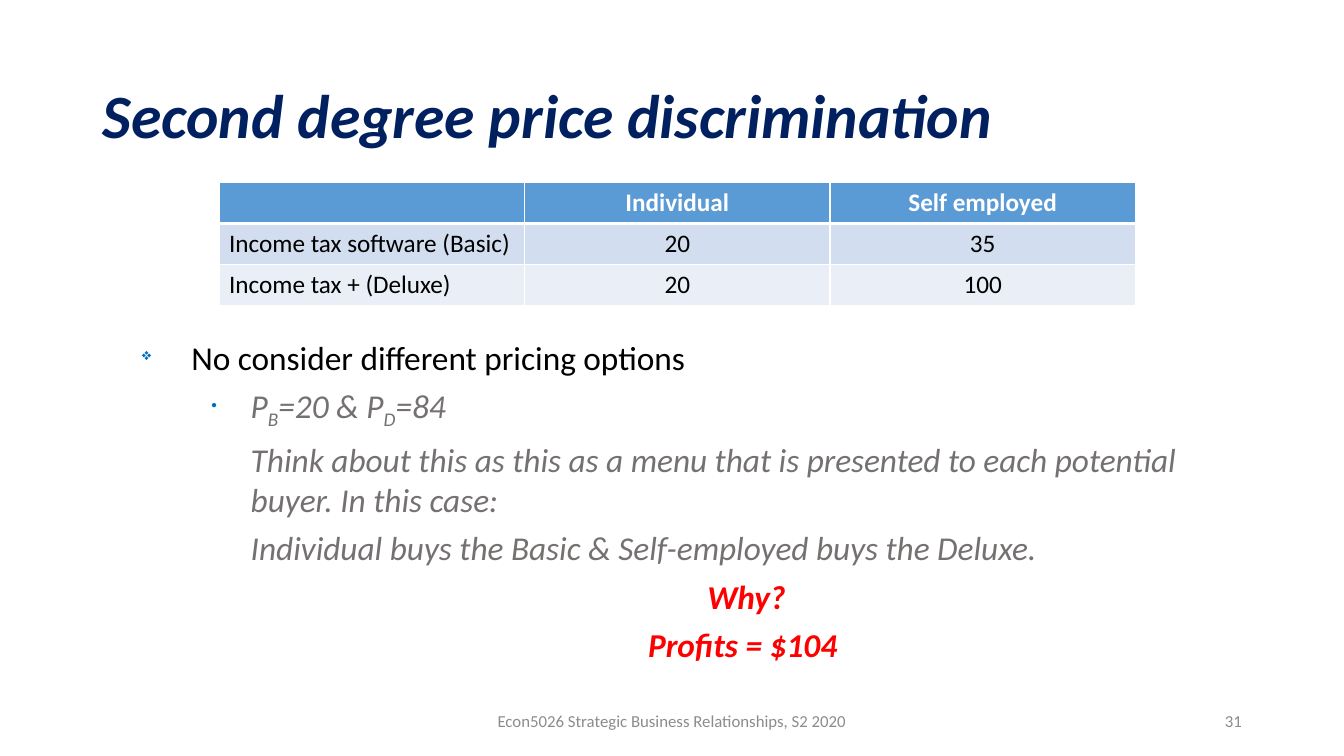
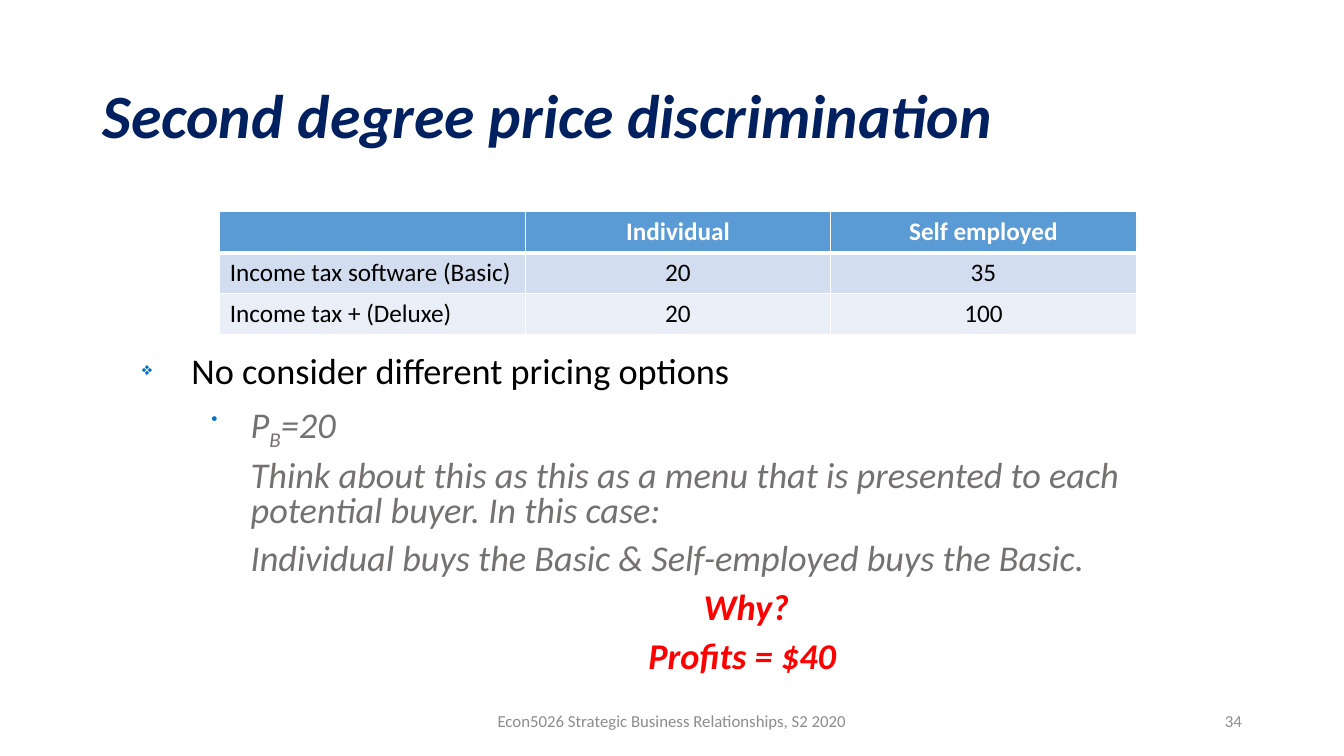
from dataclasses import dataclass

from lxml.etree import SubElement
from pptx import Presentation
from pptx.dml.color import RGBColor as RGB
from pptx.enum.text import MSO_ANCHOR as Anchor, PP_ALIGN as Align
from pptx.oxml import parse_xml
from pptx.oxml.ns import nsdecls, qn
from pptx.util import Pt


@dataclass(frozen=True)
class Theme:
    font: str = "Calibri"
    navy: str = "002060"
    black: str = "000000"
    white: str = "FFFFFF"
    grey: str = "767171"
    red: str = "FF0000"
    bullet: str = "0070C0"
    footer: str = "8C8C8C"
    table_rows: tuple = ("5B9BD5", "D2DEEF", "EAEFF7")
    title_size: float = 44
    table_size: float = 18
    footer_size: float = 12


TITLE = "Second degree price discrimination"
COURSE = "Econ5026 Strategic Business Relationships, S2 2020"
VALUATIONS = [
    ["", "Individual", "Self employed"],
    ["Income tax software (Basic)", "20", "35"],
    ["Income tax + (Deluxe)", "20", "100"],
]
LEFT, WIDTH = 66.24, 828
BODY_BOTTOM = 486.7


class Deck:
    def __init__(self, theme):
        self.theme = theme
        self.prs = Presentation()
        self.prs.slide_width, self.prs.slide_height = Pt(960), Pt(540)
        self.slide = None

    def new_slide(self, number):
        self.slide = self.prs.slides.add_slide(self.prs.slide_layouts[6])
        t = self.theme
        self.line(TITLE, LEFT, 28.8, WIDTH, 104.4, t.title_size, t.navy,
                  bold=True, italic=True)
        self.line(COURSE, 318, 500.5, 324, 28.75, t.footer_size, t.footer, Align.CENTER)
        self.line(str(number), 678.24, 500.5, 216, 28.75, t.footer_size, t.footer,
                  Align.RIGHT)

    def style(self, paragraph, size, color, bold=False, italic=False):
        font = paragraph.font
        font.name, font.size = self.theme.font, Pt(size)
        font.bold, font.italic = bold, italic
        font.color.rgb = RGB.from_string(color)

    def frame(self, left, top, width, height, anchor=Anchor.TOP):
        box = self.slide.shapes.add_textbox(Pt(left), Pt(top), Pt(width), Pt(height))
        box.text_frame.word_wrap = True
        box.text_frame.vertical_anchor = anchor
        return box.text_frame

    def line(self, text, left, top, width, height, size, color,
             align=Align.LEFT, **emphasis):
        paragraph = self.frame(left, top, width, height, Anchor.MIDDLE).paragraphs[0]
        paragraph.text, paragraph.alignment = text, align
        self.style(paragraph, size, color, **emphasis)

    # Valuation table
    def table(self, rows, left, top, col_width=218.2, row_height=29.3):
        t = self.theme
        grid = self.slide.shapes.add_table(
            len(rows), len(rows[0]), Pt(left), Pt(top),
            Pt(col_width * len(rows[0])), Pt(row_height * len(rows))).table
        for r, row in enumerate(rows):
            grid.rows[r].height = Pt(row_height)
            for c, text in enumerate(row):
                grid.columns[c].width = Pt(col_width)
                cell = grid.cell(r, c)
                cell.fill.solid()
                cell.fill.fore_color.rgb = RGB.from_string(t.table_rows[r])
                header = r == 0
                self.borders(cell, top=3 if r == 1 else 1, bottom=3 if header else 1)
                paragraph = cell.text_frame.paragraphs[0]
                paragraph.text = text
                paragraph.alignment = Align.CENTER if header or c else Align.LEFT
                self.style(paragraph, t.table_size, t.white if header else t.black,
                           bold=header)

    def borders(self, cell, top, bottom):
        props = cell._tc.get_or_add_tcPr()
        widths = {"lnL": 1, "lnR": 1, "lnT": top, "lnB": bottom}
        for place, (side, width) in enumerate(widths.items()):
            props.insert(place, parse_xml(
                f'<a:{side} {nsdecls("a")} w="{Pt(width)}"><a:solidFill>'
                f'<a:srgbClr val="{self.theme.white}"/></a:solidFill></a:{side}>'))

    # Pricing text
    def body(self, top, size, first_spacing, spacing, gap, prices, choice, profits):
        t = self.theme
        frame = self.frame(LEFT, top, WIDTH, BODY_BOTTOM - top)
        grey, red = dict(color=t.grey, italic=True), dict(color=t.red, bold=True, italic=True)
        menu = ("Think about this as this as a menu that is presented "
                "to each potential buyer. In this case:")
        entries = [
            (["No consider different pricing options"], 63.4, -35.3, "❖", dict(color=t.black)),
            (prices, 105.8, -28.1, "•", grey),
            ([menu], 105.8, 0, None, grey),
            ([choice], 105.8, 0, None, grey),
            (["Why?"], 105.8, 0, None, red),
            ([f"Profits = {profits} "], 105.8, 0, None, red),
        ]
        for i, (parts, margin, indent, bullet, look) in enumerate(entries):
            paragraph = frame.add_paragraph() if i else frame.paragraphs[0]
            self.indent(paragraph, margin, indent, bullet)
            paragraph.line_spacing = spacing if i else first_spacing
            if i:
                paragraph.space_before = Pt(gap)
            paragraph.alignment = Align.CENTER if look is red else Align.LEFT
            self.style(paragraph, size, **look)
            # Every second part is a subscript
            for n, text in enumerate(parts):
                run = paragraph.add_run()
                run.text = text
                if n % 2:
                    run._r.get_or_add_rPr().set("baseline", "-25000")

    def indent(self, paragraph, margin, indent, bullet):
        props = paragraph._p.get_or_add_pPr()
        props.set("marL", str(Pt(margin)))
        props.set("indent", str(Pt(indent)))
        if not bullet:
            SubElement(props, qn("a:buNone"))
            return
        color = SubElement(props, qn("a:buClr"))
        SubElement(color, qn("a:srgbClr"), val=self.theme.bullet)
        SubElement(props, qn("a:buSzPct"), val="50000")
        SubElement(props, qn("a:buChar"), char=bullet)


def main():
    deck = Deck(Theme())

    # Basic and Deluxe on the menu
    deck.new_slide(31)
    deck.table(VALUATIONS, 156.5, 130.3)
    deck.body(237, 23.8, 1.0, 1.0, 6, ["P", "B", "=20 & P", "D", "=84"],
              "Individual buys the Basic & Self-employed buys the Deluxe.", "$104")

    # Basic only
    deck.new_slide(34)
    deck.table(VALUATIONS, 157, 151.2)
    deck.body(249, 25.9, 0.9, 0.8, 10, ["P", "B", "=20"],
              "Individual buys the Basic & Self-employed buys the Basic.", "$40")

    deck.prs.save("out.pptx")


if __name__ == "__main__":
    main()
